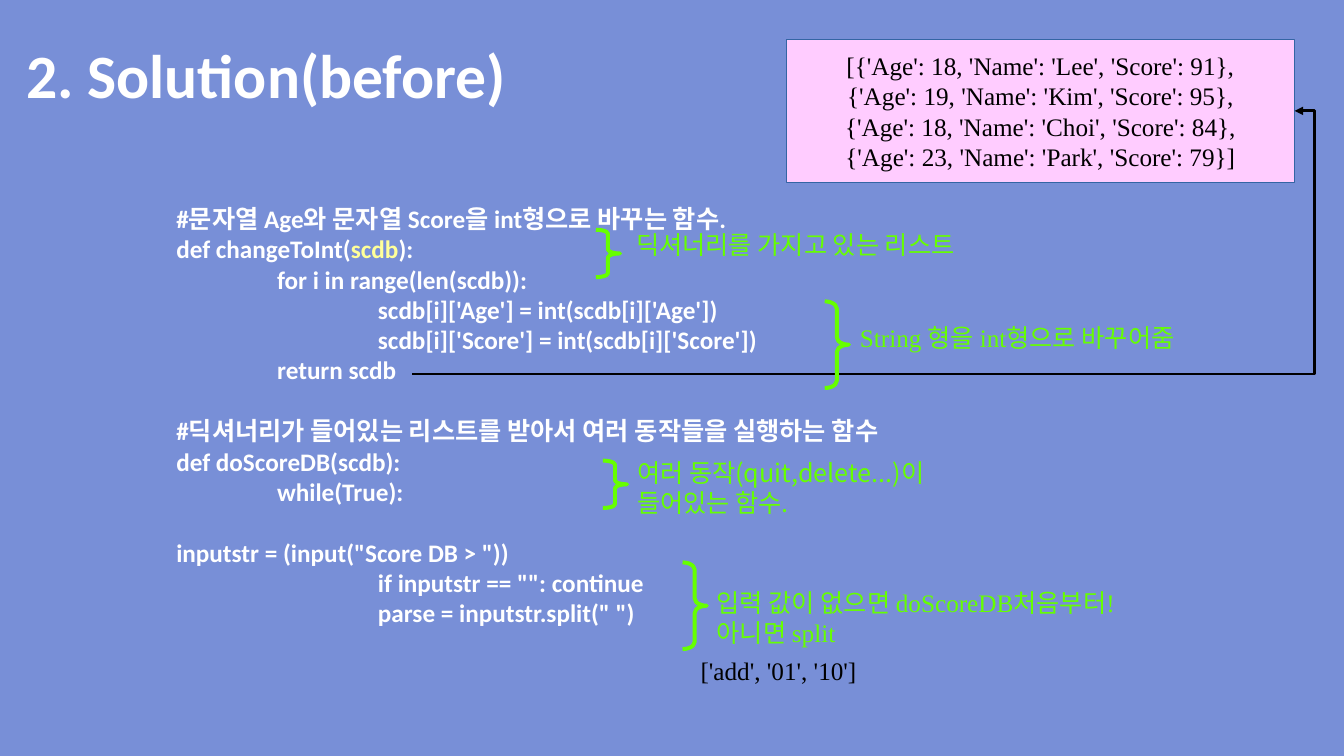
"""Build the slide that explains the first version of the score database code."""
from dataclasses import dataclass

from lxml.etree import SubElement
from pptx import Presentation
from pptx.dml.color import RGBColor
from pptx.enum.shapes import MSO_CONNECTOR, MSO_SHAPE
from pptx.enum.text import MSO_ANCHOR, PP_ALIGN
from pptx.oxml.ns import qn
from pptx.util import Inches, Pt


@dataclass(frozen=True)
class Theme:
    """Colours, fonts and type sizes of the slide."""

    background: RGBColor = RGBColor.from_string("788FD7")
    white: RGBColor = RGBColor.from_string("FFFFFF")
    black: RGBColor = RGBColor.from_string("000000")
    parameter: RGBColor = RGBColor.from_string("FFFF99")
    note: RGBColor = RGBColor.from_string("66FF00")
    result_fill: RGBColor = RGBColor.from_string("FFCCFF")
    result_line: RGBColor = RGBColor.from_string("3465A4")
    sans: str = "Calibri"
    serif: str = "Times New Roman"
    korean: str = "Noto Sans CJK KR"
    title_size: Pt = Pt(44)
    body_size: Pt = Pt(18)
    blank_line: Pt = Pt(22)


THEME = Theme()

RESULT = [
    "[{'Age': 18, 'Name': 'Lee', 'Score': 91},",
    "{'Age': 19, 'Name': 'Kim', 'Score': 95},",
    "{'Age': 18, 'Name': 'Choi', 'Score': 84},",
    "{'Age': 23, 'Name': 'Park', 'Score': 79}]",
]

CODE_BLOCKS = [
    [
        (0, "#문자열 Age와 문자열 Score을 int형으로 바꾸는 함수."),
        (0, "def changeToInt(", "scdb", "):"),
        (1, "for i in range(len(scdb)):"),
        (2, "scdb[i]['Age'] = int(scdb[i]['Age'])"),
        (2, "scdb[i]['Score'] = int(scdb[i]['Score'])"),
        (1, "return scdb"),
    ],
    [
        (0, "#딕셔너리가 들어있는 리스트를 받아서 여러 동작들을 실행하는 함수"),
        (0, "def doScoreDB(scdb):"),
        (1, "while(True):"),
    ],
    [
        (0, 'inputstr = (input("Score DB > "))'),
        (2, 'if inputstr == "": continue'),
        (2, 'parse = inputstr.split(" ")'),
    ],
]

NOTES = [
    (6.21, 2.23, 4.02, THEME.korean, ["딕셔너리를 가지고 있는 리스트"]),
    (8.43, 3.15, 4.02, THEME.serif, ["String 형을 int형으로 바꾸어줌"]),
    (6.22, 4.49, 4.02, THEME.korean, ["여러 동작(quit,delete...)이 들어있는 함수."]),
    (7.01, 5.78, 5.2, THEME.serif, ["입력 값이 없으면 doScoreDB처음부터!", "아니면 split"]),
]

BRACES = [(5.91, 2.28, 0.47), (8.18, 2.99, 0.86), (5.98, 4.57, 0.47), (6.77, 5.58, 0.86)]


def style_paragraph(paragraph, name, color, size=THEME.body_size, bold=False):
    """Set the Latin and Korean fonts, colour and size of a paragraph."""
    font = paragraph.font
    font.size, font.bold, font.name = size, bold, name
    font.color.rgb = color
    defaults = paragraph._p.pPr.find(qn("a:defRPr"))
    SubElement(defaults, qn("a:ea")).set("typeface", THEME.korean)


def add_paragraph(frame):
    """Return the unused first paragraph, or a new one."""
    first = frame.paragraphs[0]
    return frame.add_paragraph() if first.runs else first


def add_text(slide, left, top, width, height, lines, name, color, **style):
    """Add a wrapping text box with one paragraph for each line."""
    box = slide.shapes.add_textbox(Inches(left), Inches(top), Inches(width), Inches(height))
    frame = box.text_frame
    frame.word_wrap = True
    for line in lines:
        paragraph = add_paragraph(frame)
        paragraph.add_run().text = line
        style_paragraph(paragraph, name, color, **style)
    return frame


def add_title(slide, text):
    """Add the slide title."""
    frame = add_text(slide, 0.16, 0.05, 11.5, 1.45, [text], THEME.sans, THEME.white,
                     size=THEME.title_size, bold=True)
    frame.vertical_anchor = MSO_ANCHOR.MIDDLE
    frame.paragraphs[0].line_spacing = 0.9


def add_code(slide, blocks):
    """Add indented code, with a gap before each later block."""
    frame = add_text(slide, 1.65, 1.97, 9.45, 4.91, [], THEME.sans, THEME.white)
    for block_number, block in enumerate(blocks):
        for line_number, (indent, *parts) in enumerate(block):
            paragraph = add_paragraph(frame)
            for part_number, part in enumerate(parts):
                run = paragraph.add_run()
                run.text = part
                if part_number == 1:
                    run.font.color.rgb = THEME.parameter
            if block_number and not line_number:
                paragraph.space_before = THEME.blank_line
            style_paragraph(paragraph, THEME.sans, THEME.white, bold=True)
            paragraph._p.pPr.set("marL", str(Inches(indent)))
            paragraph._p.pPr.set("indent", "0")


def add_result(slide, lines):
    """Add the filled box that shows the returned list."""
    shape = slide.shapes.add_shape(
        MSO_SHAPE.RECTANGLE, Inches(7.8), Inches(0.39), Inches(5.04), Inches(1.42))
    shape.shadow.inherit = False
    shape.fill.solid()
    shape.fill.fore_color.rgb = THEME.result_fill
    shape.line.color.rgb = THEME.result_line
    shape.line.width = Pt(0)
    frame = shape.text_frame
    frame.word_wrap = False
    frame.vertical_anchor = MSO_ANCHOR.MIDDLE
    for line in lines:
        paragraph = add_paragraph(frame)
        paragraph.add_run().text = line
        paragraph.alignment = PP_ALIGN.CENTER
        style_paragraph(paragraph, THEME.serif, THEME.black)


def add_brace(slide, left, top, height, width=0.24):
    """Add a right brace whose curves scale with its height."""
    brace = slide.shapes.add_shape(
        MSO_SHAPE.RIGHT_BRACE, Inches(left), Inches(top), Inches(width), Inches(height))
    brace.adjustments[0] = height / 12 / width
    brace.shadow.inherit = False
    brace.fill.background()
    brace.line.color.rgb = THEME.note
    brace.line.width = Pt(2.83)


def add_return_arrow(slide):
    """Add the elbow arrow from the return statement to the result."""
    arrow = slide.shapes.add_connector(
        MSO_CONNECTOR.ELBOW, Inches(4.09), Inches(3.71), Inches(12.84), Inches(1.1))
    arrow.line.color.rgb = THEME.black
    arrow.line.width = Pt(0)
    SubElement(arrow.line._get_or_add_ln(), qn("a:tailEnd")).set("type", "triangle")
    properties = arrow._element.spPr
    SubElement(properties, qn("a:effectLst"))
    guide = SubElement(properties.find(qn("a:prstGeom")).get_or_add_avLst(), qn("a:gd"))
    guide.set("name", "adj1")
    guide.set("fmla", "val 102300")


def main():
    """Build and save the slide."""
    presentation = Presentation()
    presentation.slide_width, presentation.slide_height = Inches(13.33), Inches(7.5)
    slide = presentation.slides.add_slide(presentation.slide_layouts[6])
    slide.background.fill.solid()
    slide.background.fill.fore_color.rgb = THEME.background
    add_title(slide, "2. Solution(before)")
    add_code(slide, CODE_BLOCKS)
    add_result(slide, RESULT)
    add_return_arrow(slide)
    for brace in BRACES:
        add_brace(slide, *brace)
    for left, top, width, name, lines in NOTES:
        add_text(slide, left, top, width, 0.84, lines, name, THEME.note)
    add_text(slide, 6.85, 6.45, 4.17, 0.4, ["['add', '01', '10']"], THEME.serif, THEME.black)
    presentation.save("out.pptx")


if __name__ == "__main__":
    main()
